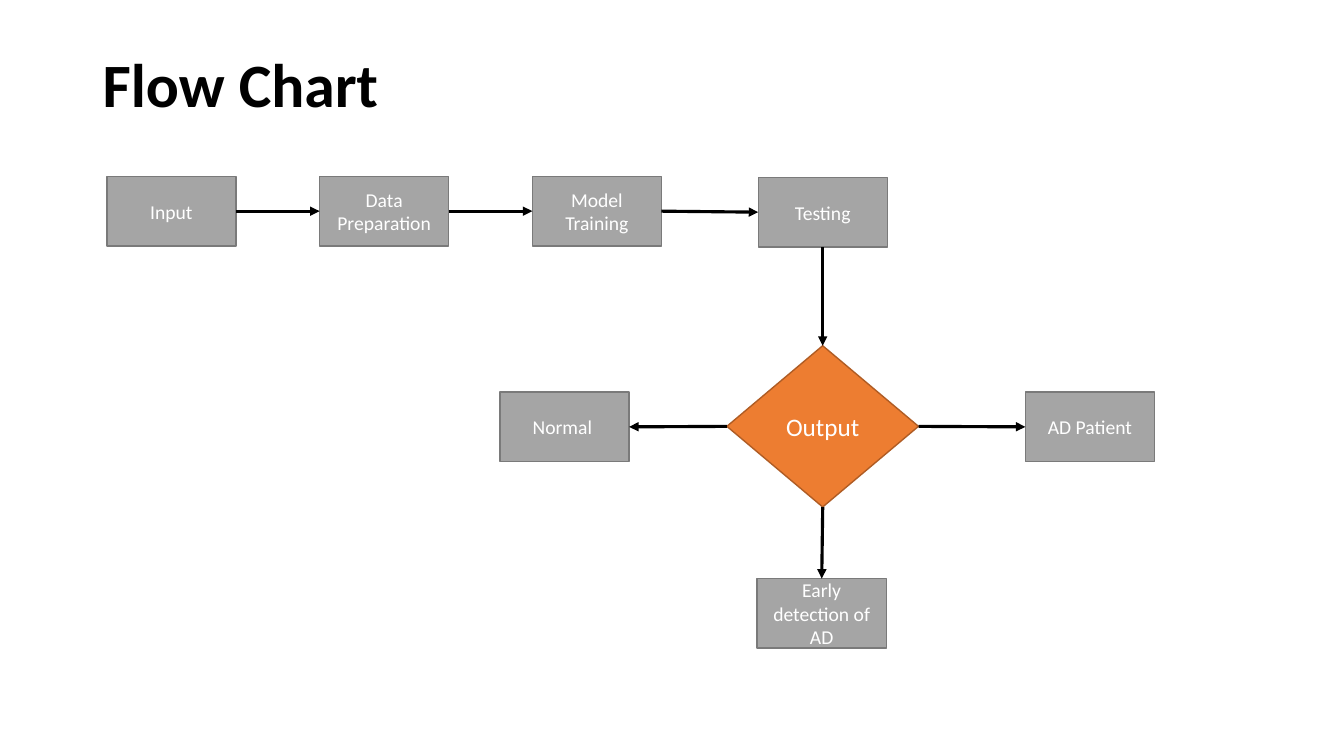
from lxml import etree
from pptx import Presentation
from pptx.dml.color import RGBColor
from pptx.enum.shapes import MSO_CONNECTOR, MSO_SHAPE
from pptx.enum.text import MSO_ANCHOR, PP_ALIGN
from pptx.oxml.ns import qn
from pptx.util import Inches, Pt

RECTANGLE, DIAMOND = MSO_SHAPE.RECTANGLE, MSO_SHAPE.DIAMOND
STRAIGHT = MSO_CONNECTOR.STRAIGHT
MIDDLE, CENTER, LEFT = MSO_ANCHOR.MIDDLE, PP_ALIGN.CENTER, PP_ALIGN.LEFT
TOP_SIDE, LEFT_SIDE, BOTTOM_SIDE, RIGHT_SIDE = range(4)

COLORS = {
    "title": "000000",
    "arrow": "000000",
    "label": "FFFFFF",
    "step": "A5A5A5",
    "step_edge": "7A7A7A",
    "decision": "ED7D31",
    "decision_edge": "AF5C24",
}
STEP_SIZE = (1.28, 0.69)
STEP_PITCH = 2.11
ROW_TOP, BRANCH_TOP = 1.75, 3.89


def color(name):
    return RGBColor.from_string(COLORS[name])


def set_text(shape, text, align, **font_format):
    frame = shape.text_frame
    frame.word_wrap = True
    frame.vertical_anchor = MIDDLE
    paragraph = frame.paragraphs[0]
    paragraph.alignment = align
    run = paragraph.add_run()
    run.text = text
    for attribute, value in {"name": "Calibri", **font_format}.items():
        setattr(run.font, attribute, value)
    return paragraph, run


def add_title(slide, text):
    heading = slide.shapes.add_textbox(
        Inches(0.92), Inches(0.4), Inches(11.5), Inches(0.94))
    paragraph, run = set_text(heading, text, LEFT, size=Pt(44), bold=True)
    paragraph.line_spacing = 0.9
    run.font.color.rgb = color("title")


def add_node(slide, text, left, top, size=STEP_SIZE, outline=RECTANGLE,
             role="step", points=14):
    node = slide.shapes.add_shape(
        outline, *(Inches(length) for length in (left, top, *size)))
    node.shadow.inherit = False
    node.fill.solid()
    node.fill.fore_color.rgb = color(role)
    node.line.color.rgb = color(role + "_edge")
    node.line.width = Pt(1)
    _, run = set_text(node, text, CENTER, size=Pt(points))
    run.font.color.rgb = color("label")
    return node


def add_arrow(slide, source, source_side, target, target_side):
    arrow = slide.shapes.add_connector(STRAIGHT, 0, 0, 0, 0)
    arrow.begin_connect(source, source_side)
    arrow.end_connect(target, target_side)
    arrow.line.color.rgb = color("arrow")
    arrow.line.width = Pt(2.25)
    properties = arrow.line._get_or_add_ln()
    etree.SubElement(properties, qn("a:tailEnd"), type="triangle")
    etree.SubElement(arrow._element.spPr, qn("a:effectLst"))


def main():
    presentation = Presentation()
    presentation.slide_width = Inches(13.33)
    presentation.slide_height = Inches(7.5)
    slide = presentation.slides.add_slide(presentation.slide_layouts[6])

    add_title(slide, "Flow Chart")

    # Processing steps
    steps = [add_node(slide, text, 1.06 + index * STEP_PITCH, ROW_TOP)
             for index, text in enumerate(
                 ("Input", "Data Preparation", "Model Training"))]
    testing = add_node(slide, "Testing", 7.52, 1.76)
    steps.append(testing)

    # Decision and its outcomes
    output = add_node(slide, "Output", 7.21, 3.43, (1.9, 1.6), DIAMOND,
                      "decision", 18)
    normal = add_node(slide, "Normal ", 4.96, BRANCH_TOP)
    patient = add_node(slide, "AD Patient", 10.17, BRANCH_TOP)
    early_detection = add_node(slide, "Early detection of AD", 7.51, 5.74)

    # Arrows
    for source, target in zip(steps, steps[1:]):
        add_arrow(slide, source, RIGHT_SIDE, target, LEFT_SIDE)
    add_arrow(slide, testing, BOTTOM_SIDE, output, TOP_SIDE)
    add_arrow(slide, output, BOTTOM_SIDE, early_detection, TOP_SIDE)
    add_arrow(slide, output, RIGHT_SIDE, patient, LEFT_SIDE)
    add_arrow(slide, output, LEFT_SIDE, normal, RIGHT_SIDE)

    presentation.save("out.pptx")


if __name__ == "__main__":
    main()
